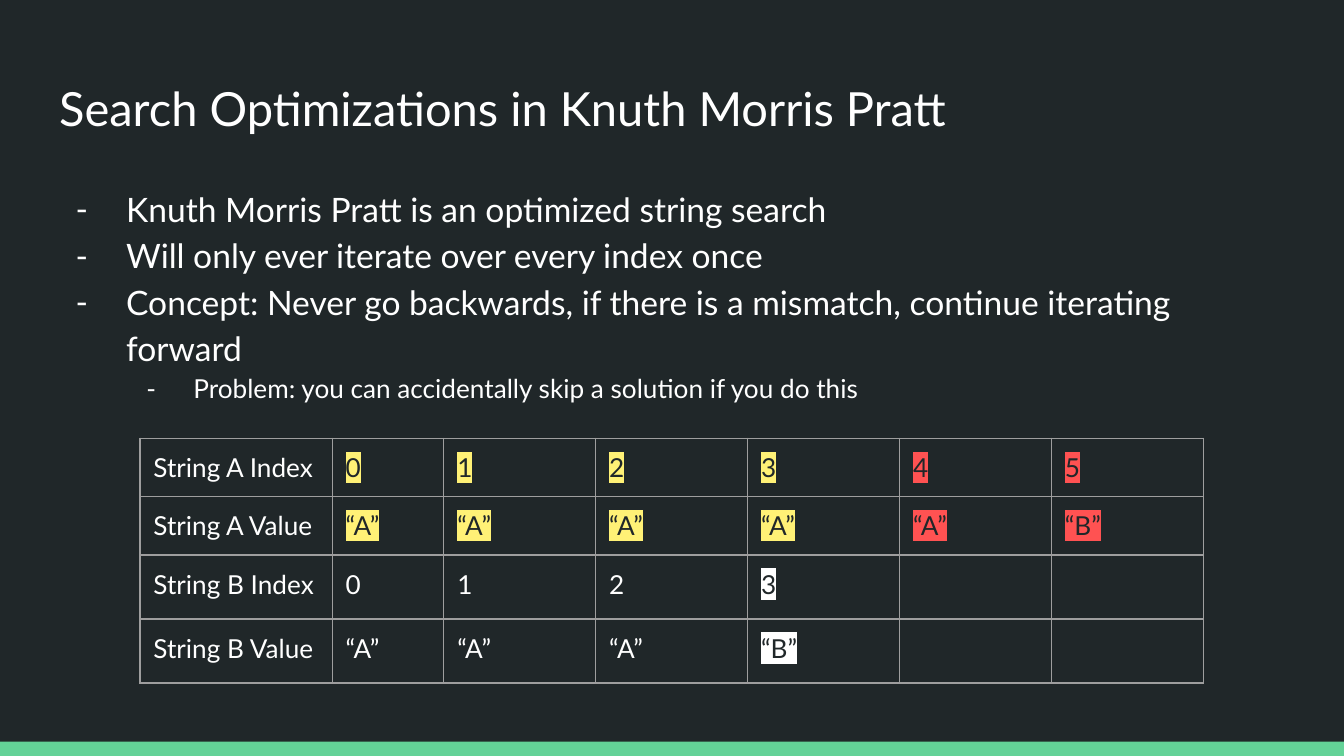
import dataclasses

import pptx
import pptx.dml.color
import pptx.enum.shapes
import pptx.enum.text
import pptx.oxml
import pptx.oxml.ns
import pptx.util

Pt = pptx.util.Pt
qn = pptx.oxml.ns.qn


@dataclasses.dataclass(frozen=True)
class Theme:
    font: str = "Lato"
    background: str = "202729"
    text: str = "FFFFFF"
    accent: str = "63D297"
    border: str = "9E9E9E"
    matched: str = "FFF176"
    remaining: str = "FF5252"
    mismatch: str = "FFFFFF"
    title_size: float = 25.2
    body_size: float = 18
    small_size: float = 14
    inset: float = 7.2


THEME = Theme()

BULLETS = [
    (0, "Knuth Morris Pratt is an optimized string search"),
    (0, "Will only ever iterate over every index once"),
    (0, "Concept: Never go backwards, if there is a mismatch, continue iterating forward"),
    (1, "Problem: you can accidentally skip a solution if you do this"),
]
BULLET_LEVELS = [(36, -27, THEME.body_size), (72, -25.2, THEME.small_size)]

ROWS = [
    ["String A Index", "0", "1", "2", "3", "4", "5"],
    ["String A Value", "“A”", "“A”", "“A”", "“A”", "“A”", "“B”"],
    ["String B Index", "0", "1", "2", "3", "", ""],
    ["String B Value", "“A”", "“A”", "“A”", "“B”", "", ""],
]
COLUMN_WIDTHS = [103, 59.8] + [81.4] * 5
ROW_HEIGHTS = [31.3, 31.3, 34.3, 34.3]


def rgb(color):
    return pptx.dml.color.RGBColor.from_string(color)


def add_child(parent, tag, **attributes):
    child = parent.makeelement(qn(tag), attributes)
    parent.append(child)
    return child


def format_runs(paragraph, size, color=THEME.text, highlight=None):
    for run in paragraph.runs:
        run.font.name = THEME.font
        run.font.size = Pt(size)
        run.font.color.rgb = rgb(color)
        if highlight:
            properties = run.font._element
            mark = properties.makeelement(qn("a:highlight"), {})
            add_child(mark, "a:srgbClr", val=highlight)
            properties.find(qn("a:solidFill")).addnext(mark)


def place(shape, box):
    shape.left, shape.top, shape.width, shape.height = (Pt(value) for value in box)


def set_margins(item):
    item.margin_left = item.margin_right = Pt(THEME.inset)
    item.margin_top = item.margin_bottom = Pt(THEME.inset)


def prepare_frame(text_frame):
    set_margins(text_frame)
    text_frame.word_wrap = True
    text_frame.auto_size = pptx.enum.text.MSO_AUTO_SIZE.NONE
    text_frame.vertical_anchor = pptx.enum.text.MSO_ANCHOR.TOP


def add_footer_bar(slide, box):
    bar = slide.shapes.add_shape(
        pptx.enum.shapes.MSO_SHAPE.RECTANGLE, *(Pt(value) for value in box))
    bar.shadow.inherit = False
    bar.fill.solid()
    bar.fill.fore_color.rgb = rgb(THEME.accent)
    bar.line.fill.background()


def set_title(slide, box, text):
    title = slide.shapes.title
    place(title, box)
    prepare_frame(title.text_frame)
    title.text_frame.text = text
    paragraph = title.text_frame.paragraphs[0]
    paragraph.alignment = pptx.enum.text.PP_ALIGN.LEFT
    format_runs(paragraph, THEME.title_size)


def add_bullets(slide, box, bullets):
    text_frame = slide.shapes.add_textbox(*(Pt(value) for value in box)).text_frame
    prepare_frame(text_frame)
    text_frame.text = "\n".join(text for _, text in bullets)
    for paragraph, (level, _) in zip(text_frame.paragraphs, bullets):
        margin, indent, size = BULLET_LEVELS[level]
        paragraph.level = level
        paragraph.line_spacing = 1.15
        format_runs(paragraph, size)
        properties = paragraph._p.get_or_add_pPr()
        properties.set("marL", str(Pt(margin)))
        properties.set("indent", str(Pt(indent)))
        add_child(add_child(properties, "a:buClr"), "a:srgbClr", val=THEME.text)
        add_child(properties, "a:buFont", typeface=THEME.font)
        add_child(properties, "a:buChar", char="-")


def draw_borders(cell):
    properties = cell._tc.get_or_add_tcPr()
    for side in ("a:lnL", "a:lnR", "a:lnT", "a:lnB"):
        line = add_child(properties, side, w=str(Pt(0.75)))
        add_child(add_child(line, "a:solidFill"), "a:srgbClr", val=THEME.border)


def cell_highlight(row, column):
    if column == 0:
        return None
    if row < 2:
        return THEME.matched if column <= 4 else THEME.remaining
    return THEME.mismatch if column == 4 else None


def add_match_table(slide, left, top, rows):
    table = slide.shapes.add_table(
        len(rows), len(COLUMN_WIDTHS), Pt(left), Pt(top),
        Pt(sum(COLUMN_WIDTHS)), Pt(sum(ROW_HEIGHTS))).table
    table.first_row = table.horz_banding = False
    for column, width in zip(table.columns, COLUMN_WIDTHS):
        column.width = Pt(width)
    for row_index, (row, height) in enumerate(zip(rows, ROW_HEIGHTS)):
        table.rows[row_index].height = Pt(height)
        for column_index, text in enumerate(row):
            cell = table.cell(row_index, column_index)
            draw_borders(cell)
            cell.fill.background()
            if text:
                set_margins(cell)
                cell.text_frame.text = text
                highlight = cell_highlight(row_index, column_index)
                color = THEME.background if highlight else THEME.text
                format_runs(cell.text_frame.paragraphs[0], THEME.small_size, color, highlight)


def build_search_slide(presentation):
    slide = presentation.slides.add_slide(presentation.slide_layouts.get_by_name("Title Only"))
    slide.background.fill.solid()
    slide.background.fill.fore_color.rgb = rgb(THEME.background)
    add_footer_bar(slide, (0, 397.4, 720, 7.6))
    set_title(slide, (24.5, 35.4, 671, 45.4), "Search Optimizations in Knuth Morris Pratt")
    add_bullets(slide, (24.5, 90.7, 671, 269.3), BULLETS)
    add_match_table(slide, 75, 234.7, ROWS)


def main():
    presentation = pptx.Presentation()
    presentation.slide_width = Pt(720)
    presentation.slide_height = Pt(405)
    build_search_slide(presentation)
    presentation.save("out.pptx")


if __name__ == "__main__":
    main()
